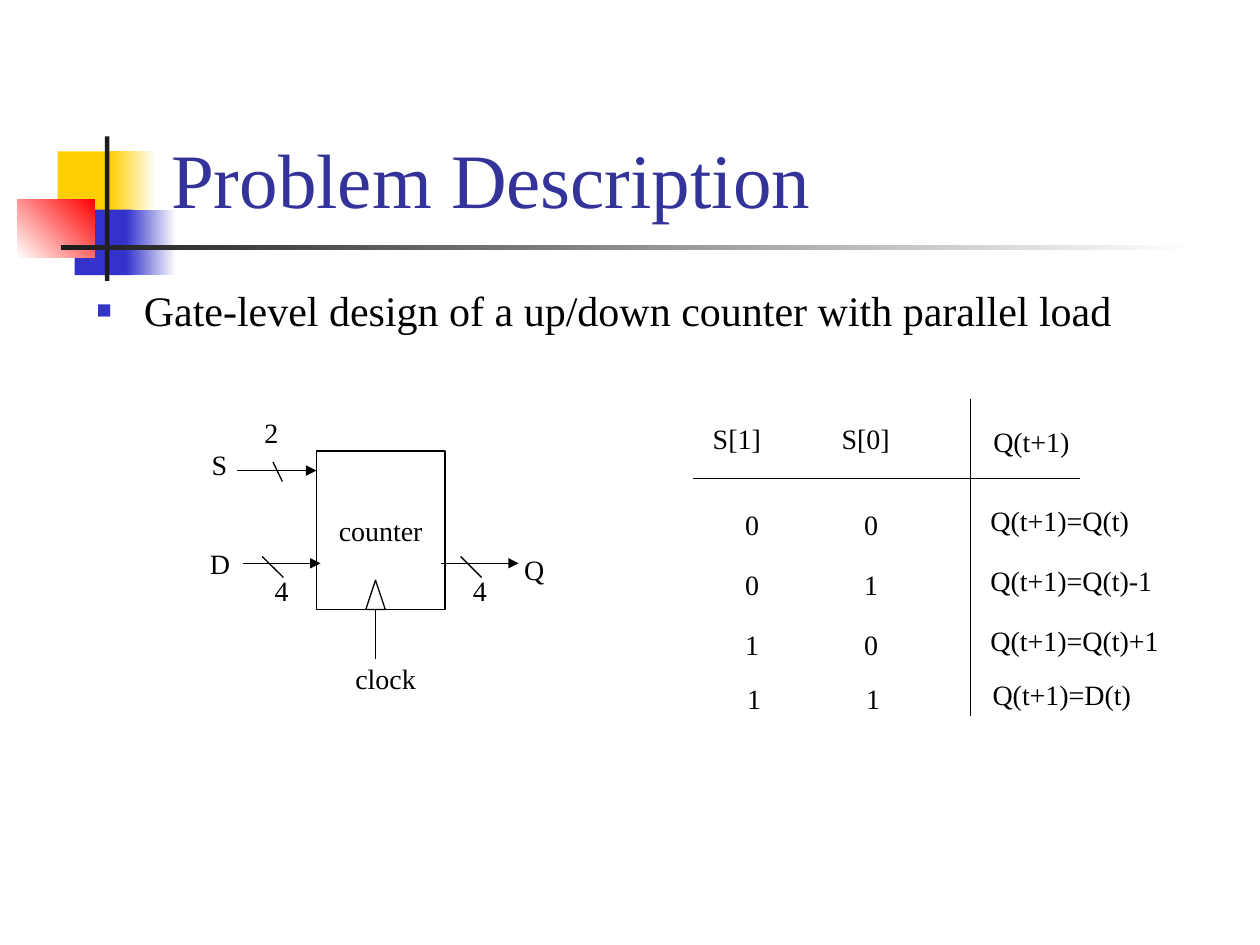
from dataclasses import dataclass
from lxml import etree
from pptx import Presentation
from pptx.dml.color import RGBColor
from pptx.enum.shapes import MSO_CONNECTOR, MSO_SHAPE
from pptx.enum.text import MSO_ANCHOR, MSO_AUTO_SIZE, PP_ALIGN
from pptx.oxml.ns import qn
from pptx.util import Pt

RECTANGLE, TRIANGLE = MSO_SHAPE.RECTANGLE, MSO_SHAPE.ISOSCELES_TRIANGLE
STRAIGHT = MSO_CONNECTOR.STRAIGHT
LEFT, CENTER = PP_ALIGN.LEFT, PP_ALIGN.CENTER
TOP, MIDDLE, BOTTOM = MSO_ANCHOR.TOP, MSO_ANCHOR.MIDDLE, MSO_ANCHOR.BOTTOM
NO_FIT, GROW = MSO_AUTO_SIZE.NONE, MSO_AUTO_SIZE.SHAPE_TO_FIT_TEXT


@dataclass(frozen=True)
class Theme:
    font: str = "Times New Roman"
    title_size: int = 44
    body_size: int = 24
    label_size: int = 16
    line_width: float = 0.75
    label_height: float = 26.6
    title: str = "333399"
    text: str = "000000"
    paper: str = "FFFFFF"
    yellow: str = "FFCF01"
    blue: str = "3333CC"
    red: str = "FF0000"
    dark: str = "1C1C1C"


THEME = Theme()

TITLE = "Problem Description"
BULLET = "Gate-level design of a up/down counter with parallel load"
TITLE_BOX = (90.6, 16.5, 613.5, 115.2)
BODY_BOX = (48, 159, 657.5, 45.5)

DECORATIONS = [
    ((33, 86.5, 34.5, 37.5), (THEME.yellow,), 0),
    ((63, 86.5, 26, 37.5), (THEME.yellow, THEME.paper), 0),
    ((42.7, 119.8, 33, 37.4), (THEME.blue,), 0),
    ((72, 119.8, 28.6, 37.4), (THEME.blue, THEME.paper), 0),
    ((9.8, 113.9, 44.5, 33.4), (THEME.paper, THEME.red), 45),
    ((60, 78, 2.5, 82.6), (THEME.dark,), 0),
    ((34.8, 140.1, 648, 2.6), (THEME.dark, THEME.paper), 0),
]

HEADERS = [("S[1]", 400.2, 237.3, 42.5), ("S[0]", 473.8, 237.3, 42.5), ("Q(t+1)", 560.5, 238.8, 58.3)]
TRUTH_ROWS = [
    (286.4, 0, ("0", "0", "Q(t+1)=Q(t)")),
    (320.7, 0, ("0", "1", "Q(t+1)=Q(t)-1")),
    (355, 0, ("1", "0", "Q(t+1)=Q(t)+1")),
    (386, 1.2, ("1", "1", "Q(t+1)=D(t)")),
]
TRUTH_COLUMNS = [(418.7, 0, 22.3), (486.7, 0, 22.3), (558.9, -2.1, 112)]
TRUTH_RULES = [((396, 273.4), (617, 273.4)), ((554.6, 228), (554.6, 409.4))]

COUNTER_BOX = (180.8, 257.7, 73.6, 90.6)
CLOCK_MARK = (209, 331.5, 11.2, 16.8)
CLOCK_WIRE = ((214.7, 376.6), (214.7, 348.3))
BUSES = [
    ((135.3, 268.9), (180.8, 268.9), (156, 264), (161.4, 275.2)),
    ((138.8, 321.9), (183.2, 321.9), (149.8, 318), (162, 330)),
    ((252, 321.9), (296.4, 321.9), (263.2, 318), (275.2, 330)),
]
LABELS = [
    ("S", 113.9, 252.2, 23.4),
    ("D", 112.8, 308.6, 26),
    ("Q", 292.4, 312.4, 26),
    ("2", 144, 234, 22.3),
    ("4", 149.8, 324, 22.3),
    ("4", 263.2, 324, 22.3),
    ("clock", 196, 374.4, 49),
]


def color(value):
    return RGBColor.from_string(value)


def points(values):
    return [Pt(value) for value in values]


def write(shape, text, size, ink=THEME.text, align=LEFT, anchor=TOP, wrap=False, fit=NO_FIT):
    frame = shape.text_frame
    frame.text = text
    frame.word_wrap = wrap
    frame.auto_size = fit
    frame.vertical_anchor = anchor
    paragraph = frame.paragraphs[0]
    paragraph.alignment = align
    font = paragraph.runs[0].font
    font.name, font.size, font.color.rgb = THEME.font, Pt(size), color(ink)
    return paragraph


def fill_placeholder(shape, box, text, size, ink, anchor):
    shape.left, shape.top, shape.width, shape.height = points(box)
    return write(shape, text, size, ink, anchor=anchor, wrap=True)


def add_bullet(paragraph):
    properties = paragraph._p.get_or_add_pPr()
    properties.set("marL", str(Pt(27)))
    properties.set("indent", str(Pt(-27)))
    bullet_color = etree.SubElement(properties, qn("a:buClr"))
    etree.SubElement(bullet_color, qn("a:srgbClr"), val=THEME.blue)
    etree.SubElement(properties, qn("a:buSzPct"), val="60000")
    etree.SubElement(properties, qn("a:buFont"), typeface=THEME.font)
    etree.SubElement(properties, qn("a:buChar"), char="■")


def add_decoration(slide, box, colors, angle):
    shape = slide.shapes.add_shape(RECTANGLE, *points(box))
    shape.shadow.inherit = False
    shape.line.fill.background()
    if len(colors) == 1:
        shape.fill.solid()
        shape.fill.fore_color.rgb = color(colors[0])
        return
    shape.fill.gradient()
    shape.fill.gradient_angle = angle
    for stop, position, value in zip(shape.fill.gradient_stops, (0, 1), colors):
        stop.position = position
        stop.color.rgb = color(value)


def add_outline(slide, kind, box):
    shape = slide.shapes.add_shape(kind, *points(box))
    shape.shadow.inherit = False
    shape.fill.background()
    shape.line.color.rgb = color(THEME.text)
    shape.line.width = Pt(THEME.line_width)
    return shape


def add_line(slide, start, end, arrow=False):
    connector = slide.shapes.add_connector(STRAIGHT, *points(start + end))
    connector.line.color.rgb = color(THEME.text)
    connector.line.width = Pt(THEME.line_width)
    if arrow:
        etree.SubElement(connector.line._get_or_add_ln(), qn("a:tailEnd"), type="triangle")
    etree.SubElement(connector._element.spPr, qn("a:effectLst"))


def add_label(slide, text, left, top, width):
    box = slide.shapes.add_textbox(*points((left, top, width, THEME.label_height)))
    write(box, text, THEME.label_size, fit=GROW)


presentation = Presentation()
presentation.slide_width, presentation.slide_height = Pt(720), Pt(540)
slide = presentation.slides.add_slide(presentation.slide_layouts[1])

for decoration in DECORATIONS:
    add_decoration(slide, *decoration)

fill_placeholder(slide.shapes.title, TITLE_BOX, TITLE, THEME.title_size, THEME.title, BOTTOM)
add_bullet(fill_placeholder(slide.placeholders[1], BODY_BOX, BULLET, THEME.body_size, THEME.text, TOP))

for start, end in TRUTH_RULES:
    add_line(slide, start, end)
for header in HEADERS:
    add_label(slide, *header)
for top, shift, values in TRUTH_ROWS:
    for text, (left, rise, width) in zip(values, TRUTH_COLUMNS):
        add_label(slide, text, left + shift, top + rise, width)

counter = add_outline(slide, RECTANGLE, COUNTER_BOX)
write(counter, "counter", THEME.label_size, align=CENTER, anchor=MIDDLE)
add_outline(slide, TRIANGLE, CLOCK_MARK)
add_line(slide, *CLOCK_WIRE)
for start, end, slash_start, slash_end in BUSES:
    add_line(slide, start, end, arrow=True)
    add_line(slide, slash_start, slash_end)
for label in LABELS:
    add_label(slide, *label)

presentation.save("out.pptx")
